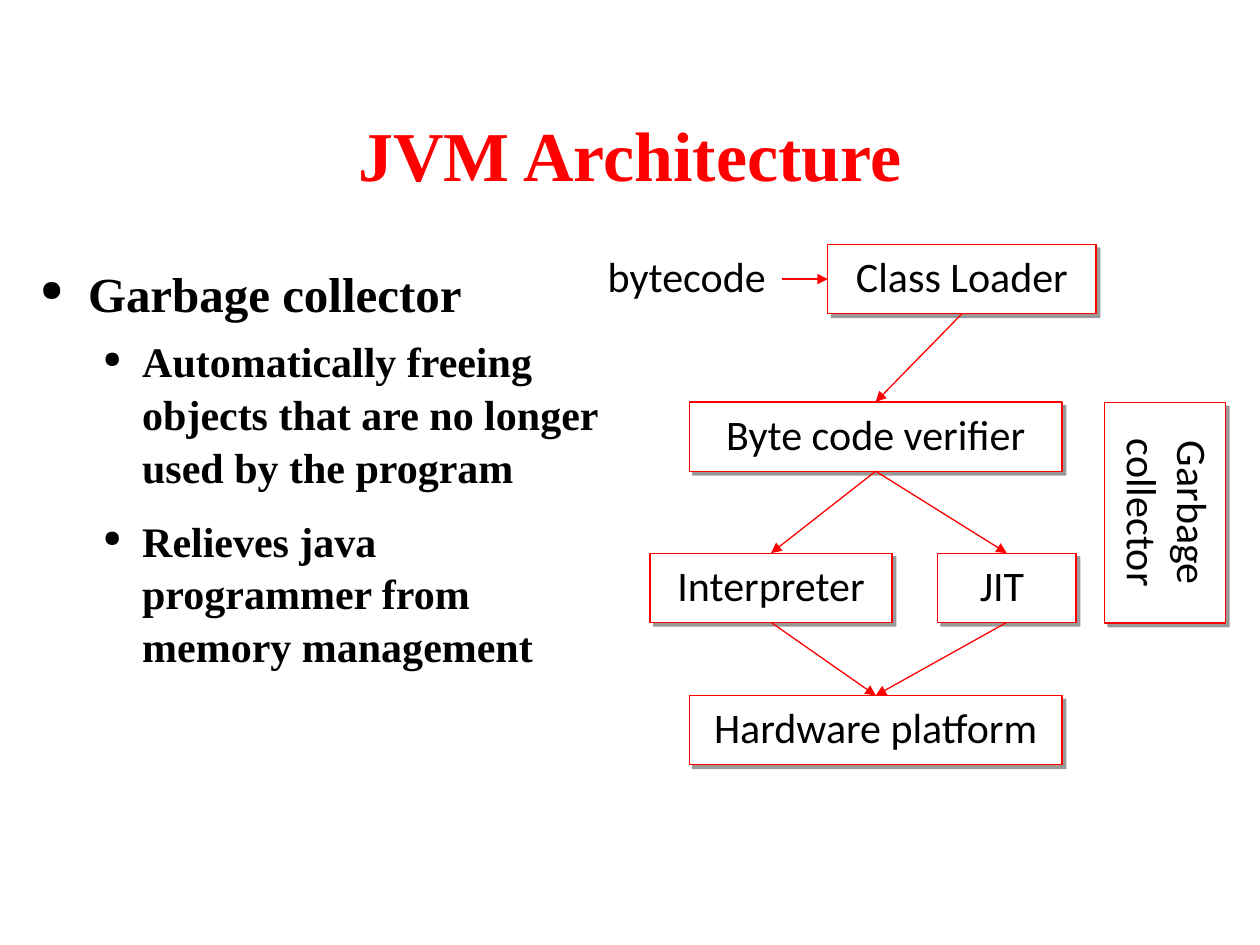
import dataclasses

import lxml.etree
import pptx
import pptx.dml.color
import pptx.enum.shapes
import pptx.enum.text
import pptx.oxml.ns
import pptx.util

Inches = pptx.util.Inches
Pt = pptx.util.Pt
ALIGN = pptx.enum.text.PP_ALIGN
ANCHOR = pptx.enum.text.MSO_ANCHOR
TOP, LEFT, BOTTOM, RIGHT = range(4)


@dataclasses.dataclass(frozen=True)
class Theme:
    """Colours, fonts and type sizes of the slide."""
    accent: str = "FF0000"
    ink: str = "000000"
    paper: str = "FFFFFF"
    serif: str = "Times New Roman"
    sans: str = "Calibri"
    title: int = 40
    heading: int = 28
    body: int = 24
    line: float = 0.75


THEME = Theme()


def rgb(value):
    """Turn a hex string into a colour."""
    return pptx.dml.color.RGBColor.from_string(value)


def add_element(parent, tag, **attributes):
    """Append a DrawingML element and return it."""
    element = lxml.etree.SubElement(parent, pptx.oxml.ns.qn(tag))
    for name, value in attributes.items():
        element.set(name, str(value))
    return element


def write(para, text, size=THEME.body, font=THEME.sans, color=THEME.ink,
          bold=False, align=ALIGN.CENTER):
    """Put formatted text into a paragraph."""
    para.alignment = align
    span = para.add_run()
    span.text = text
    span.font.size = Pt(size)
    span.font.name = font
    span.font.bold = bold
    span.font.color.rgb = rgb(color)


def add_text_box(page, left, top, width, height, anchor=ANCHOR.TOP):
    """Add a wrapping text box and return its frame."""
    box = page.shapes.add_textbox(Inches(left), Inches(top), Inches(width), Inches(height))
    box.text_frame.word_wrap = True
    box.text_frame.vertical_anchor = anchor
    return box.text_frame


def add_bullet(para, text, size, level, indent, hanging, before, scale):
    """Write one bulleted paragraph."""
    para.level = level
    para.line_spacing = 1.05
    para.space_before = Pt(before)
    properties = para._p.get_or_add_pPr()
    properties.set("marL", str(Inches(indent)))
    properties.set("indent", str(-Inches(hanging)))
    color = add_element(properties, "a:buClr")
    add_element(color, "a:srgbClr", val=THEME.ink)
    add_element(properties, "a:buSzPct", val=scale * 1000)
    add_element(properties, "a:buChar", char="●")
    write(para, text, size=size, font=THEME.serif, bold=True, align=ALIGN.LEFT)


def add_shadow(box):
    """Give a box a hard shadow to the lower right."""
    effects = add_element(box._element.spPr, "a:effectLst")
    shadow = add_element(effects, "a:outerShdw", blurRad=0, dist=Pt(3),
                         dir=45 * 60000, algn="ctr", rotWithShape=0)
    color = add_element(shadow, "a:srgbClr", val=THEME.ink)
    add_element(color, "a:alpha", val=40000)


def add_node(page, lines, left, top, width, height=0.55, rotation=0, framed=True):
    """Add a labelled box of the diagram."""
    box = page.shapes.add_shape(pptx.enum.shapes.MSO_SHAPE.RECTANGLE, Inches(left),
                                Inches(top), Inches(width), Inches(height))
    box.rotation = rotation
    box.fill.solid()
    box.fill.fore_color.rgb = rgb(THEME.paper)
    if framed:
        box.line.color.rgb = rgb(THEME.accent)
        box.line.width = Pt(THEME.line)
        add_shadow(box)
    else:
        box.line.fill.background()
        box.shadow.inherit = False
    frame = box.text_frame
    frame.word_wrap = False
    frame.vertical_anchor = ANCHOR.TOP
    for index, text in enumerate(lines):
        write(frame.add_paragraph() if index else frame.paragraphs[0], text)
    return box


def add_arrow(page, source, target, start=BOTTOM, end=TOP):
    """Connect two boxes with an arrow."""
    arrow = page.shapes.add_connector(pptx.enum.shapes.MSO_CONNECTOR.STRAIGHT, 0, 0, 0, 0)
    arrow.begin_connect(source, start)
    arrow.end_connect(target, end)
    arrow.line.color.rgb = rgb(THEME.accent)
    arrow.line.width = Pt(THEME.line)
    add_element(arrow.line._get_or_add_ln(), "a:tailEnd", type="triangle")
    add_element(arrow._element.spPr, "a:effectLst")


def add_points(page):
    """Add the bulleted text on the left."""
    frame = add_text_box(page, 0.22, 2.02, 4.71, 4.96)
    add_bullet(frame.paragraphs[0], "Garbage collector", THEME.heading, 0, 0.38, 0.38, 0, 60)
    details = [("Automatically freeing objects that are no longer used by the program", 6),
               ("Relieves java programmer from memory management", 12)]
    for text, before in details:
        add_bullet(frame.add_paragraph(), text, THEME.body, 1, 0.81, 0.31, before, 55)


def add_diagram(page):
    """Add the boxes and arrows on the right."""
    loader = add_node(page, ["Class Loader"], 6.57, 1.94, 2.13)
    verifier = add_node(page, ["Byte code verifier"], 5.47, 3.19, 2.96)
    interpreter = add_node(page, ["Interpreter"], 5.16, 4.39, 1.92)
    jit = add_node(page, ["JIT "], 7.44, 4.39, 1.1)
    hardware = add_node(page, ["Hardware platform"], 5.47, 5.52, 2.96)
    bytecode = add_node(page, ["bytecode"], 4.69, 1.94, 1.52, framed=False)
    add_node(page, ["Garbage", "collector"], 8.37, 3.59, 1.75, 0.96, rotation=90)
    add_arrow(page, bytecode, loader, RIGHT, LEFT)
    add_arrow(page, loader, verifier)
    for engine in (interpreter, jit):
        add_arrow(page, verifier, engine)
        add_arrow(page, engine, hardware)


def main():
    """Build and save the slide."""
    deck = pptx.Presentation()
    deck.slide_width, deck.slide_height = Inches(10), Inches(7.5)
    page = deck.slides.add_slide(deck.slide_layouts[6])
    title = add_text_box(page, 0, 0.67, 10, 0.93, anchor=ANCHOR.BOTTOM)
    write(title.paragraphs[0], "JVM Architecture", size=THEME.title,
          font=THEME.serif, color=THEME.accent, bold=True)
    add_points(page)
    add_diagram(page)
    deck.save("out.pptx")


if __name__ == "__main__":
    main()
